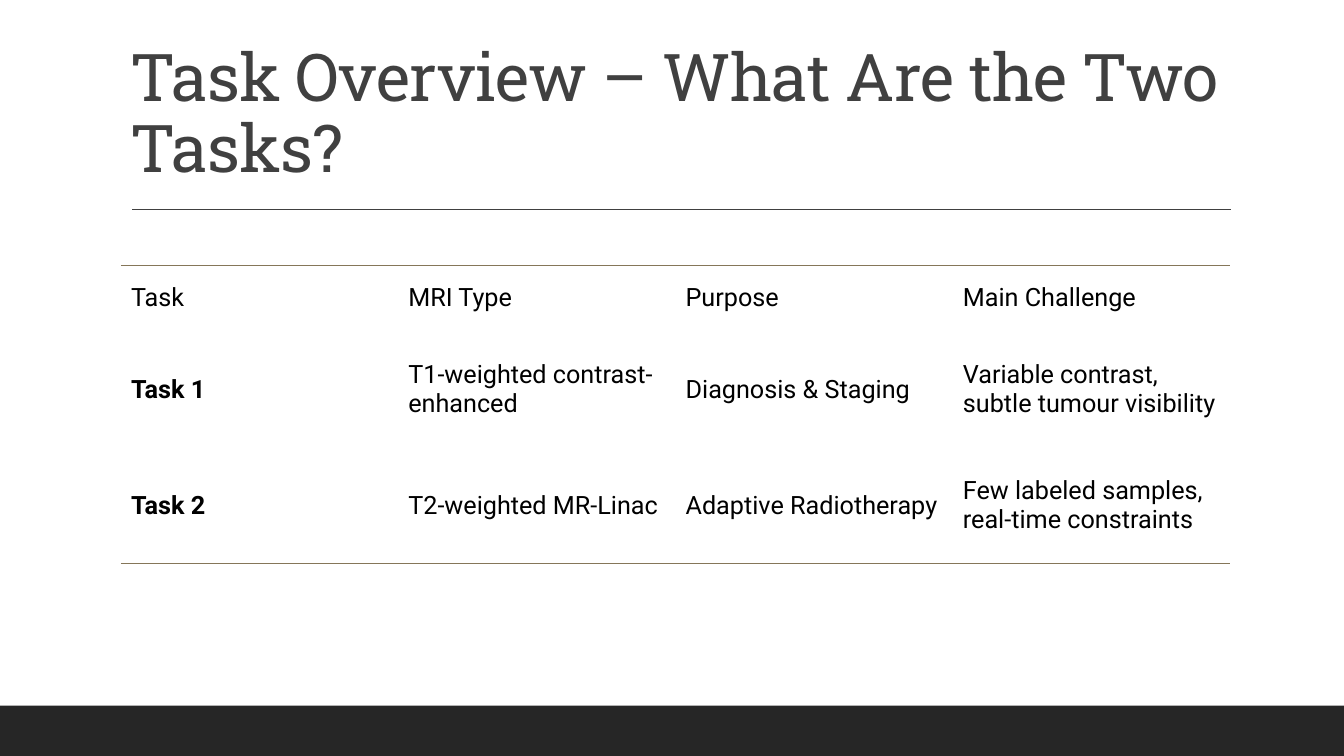
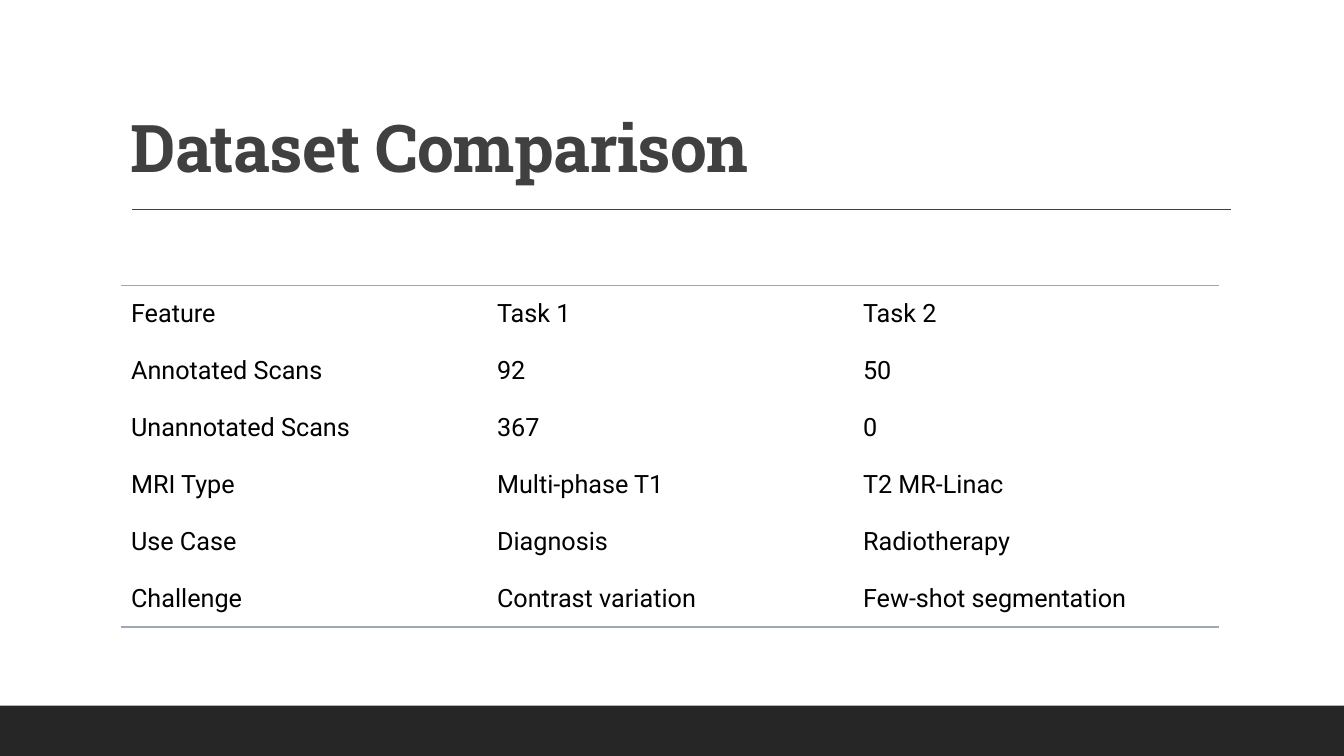
from lxml import etree
from pptx import Presentation
from pptx.dml.color import RGBColor
from pptx.enum.shapes import MSO_CONNECTOR, MSO_SHAPE
from pptx.enum.text import MSO_ANCHOR
from pptx.oxml.ns import qn
from pptx.util import Inches, Pt

STRAIGHT = MSO_CONNECTOR.STRAIGHT
RECTANGLE = MSO_SHAPE.RECTANGLE
MIDDLE, BOTTOM = MSO_ANCHOR.MIDDLE, MSO_ANCHOR.BOTTOM

COLOURS = {"band": "262626", "title": "404040", "text": "000000",
           "bronze": "857659", "steel": "9BA8B7"}
TITLE_FONT, BODY_FONT = "Roboto Slab", "Roboto"
PLAIN_TABLE = "{2D5ABB26-0587-4C30-8999-92F81FD0307C}"
LEFT = 1.2

SLIDES = [
    {"title": "Task Overview – What Are the Two Tasks?", "bold_title": False,
     "top": 2.63, "width": 11, "heights": [0.66, 1.15, 1.15],
     "border": "bronze", "bold_labels": True,
     "rows": [
         ["Task", "MRI Type", "Purpose", "Main Challenge"],
         ["Task 1", "T1-weighted contrast-enhanced", "Diagnosis & Staging",
          "Variable contrast, subtle tumour visibility"],
         ["Task 2", "T2-weighted MR-Linac", "Adaptive Radiotherapy",
          "Few labeled samples, real-time constraints"]]},
    {"title": "Dataset Comparison", "bold_title": True,
     "top": 2.83, "width": 10.89, "heights": [3.39 / 6] * 6,
     "border": "steel", "bold_labels": False,
     "rows": [
         ["Feature", "Task 1", "Task 2"],
         ["Annotated Scans", "92", "50"],
         ["Unannotated Scans", "367", "0"],
         ["MRI Type", "Multi-phase T1", "T2 MR-Linac"],
         ["Use Case", "Diagnosis", "Radiotherapy"],
         ["Challenge", "Contrast variation", "Few-shot segmentation"]]},
]


def style_font(font, name, size, colour, bold):
    font.name, font.size, font.bold = name, Pt(size), bold
    font.color.rgb = RGBColor.from_string(COLOURS[colour])


def add_border(cell, side, colour):
    line = etree.Element(qn("a:" + side), w=str(Pt(1)))
    fill = etree.SubElement(line, qn("a:solidFill"))
    etree.SubElement(fill, qn("a:srgbClr"), val=COLOURS[colour])
    cell._tc.get_or_add_tcPr().insert(0, line)


deck = Presentation()
deck.slide_width, deck.slide_height = Inches(13.33), Inches(7.5)

for content in SLIDES:
    page = deck.slides.add_slide(deck.slide_layouts[6])

    # Footer band
    band = page.shapes.add_shape(RECTANGLE, 0, Inches(7), deck.slide_width, Inches(0.5))
    band.shadow.inherit = False
    band.fill.solid()
    band.fill.fore_color.rgb = RGBColor.from_string(COLOURS["band"])
    band.line.fill.background()

    # Rule under the title
    rule = page.shapes.add_connector(STRAIGHT, Inches(1.31), Inches(2.08),
                                     Inches(12.21), Inches(2.08))
    rule.line.color.rgb = RGBColor.from_string(COLOURS["title"])
    rule.line.width = Pt(1)
    etree.SubElement(rule._element.spPr, qn("a:effectLst"))

    # Title
    box = page.shapes.add_textbox(Inches(LEFT), Inches(0.31), Inches(11), Inches(1.59))
    frame = box.text_frame
    frame.word_wrap = True
    frame.vertical_anchor = BOTTOM
    frame.text = content["title"]
    para = frame.paragraphs[0]
    para.line_spacing = 0.9
    span = para.runs[0]
    style_font(span.font, TITLE_FONT, 47, "title", content["bold_title"])
    span.font._element.set("spc", "-50")

    # Table
    rows, heights = content["rows"], content["heights"]
    table = page.shapes.add_table(
        len(rows), len(rows[0]), Inches(LEFT), Inches(content["top"]),
        Inches(content["width"]), Inches(sum(heights))).table
    table.first_row = table.horz_banding = False
    table._tbl.tblPr.find(qn("a:tableStyleId")).text = PLAIN_TABLE
    for r, values in enumerate(rows):
        table.rows[r].height = Inches(heights[r])
        for c, value in enumerate(values):
            cell = table.cell(r, c)
            cell.text = value
            cell.vertical_anchor = MIDDLE
            cell.fill.background()
            bold = content["bold_labels"] and r > 0 and c == 0
            style_font(cell.text_frame.paragraphs[0].runs[0].font,
                       BODY_FONT, 18, "text", bold)
            if r == 0:
                add_border(cell, "lnT", content["border"])
            elif r == len(rows) - 1:
                add_border(cell, "lnB", content["border"])

deck.save("out.pptx")
